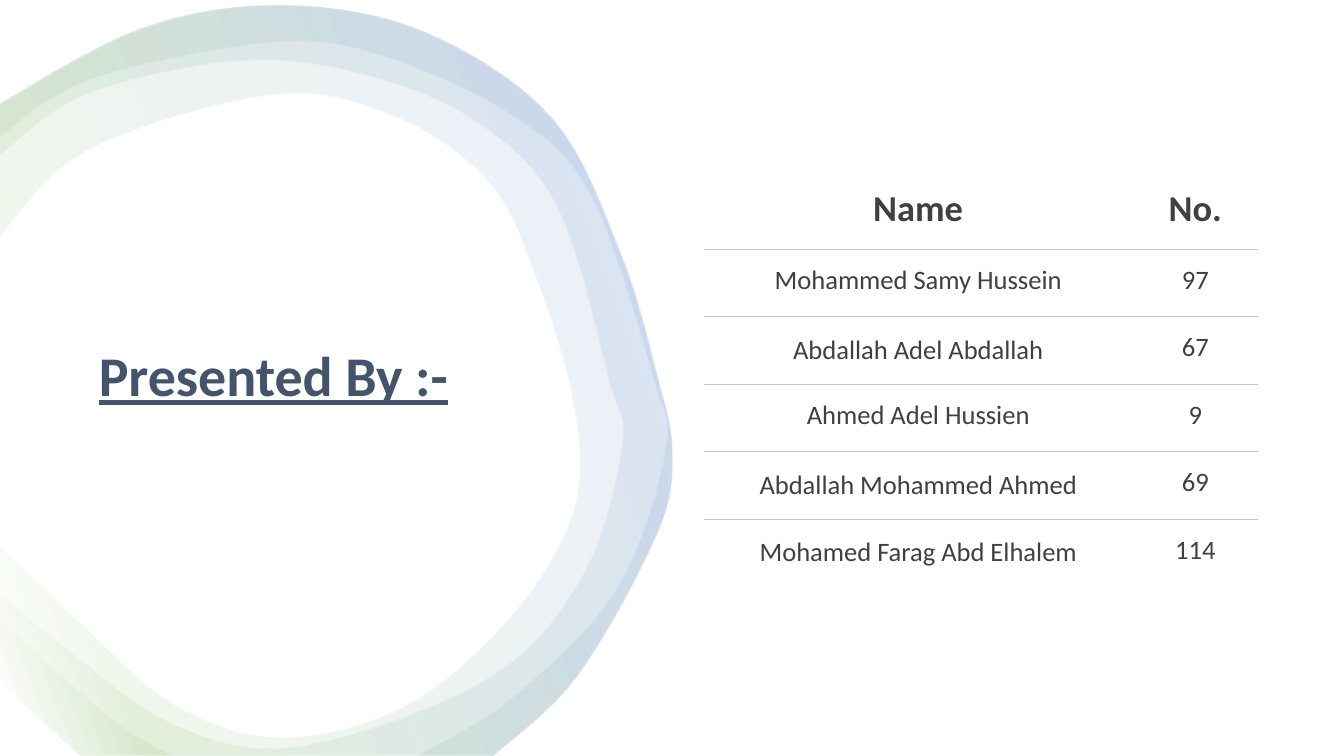
from dataclasses import dataclass

from lxml import etree
from pptx import Presentation, util as u
from pptx.dml.color import RGBColor
from pptx.enum import text
from pptx.oxml import ns

FONT = "Calibri"
GREY, SLATE, RULE, WHITE = "404040", "44546A", "C7C6C1", "FFFFFF"
STEPS = 8  # line pieces between two curve points
UNIT = u.Cm(0.0254)  # size of one step of the ring points
STOPS = [(2, WHITE), (16, "70AD47"), (85, "4472C4"), (100, WHITE)]
ALPHA = 10

Point = tuple[float, float]
Arc = list[Point]


@dataclass
class Band:
    """Closed loops, each made of smooth arcs joined by straight lines."""
    loops: list[list[Arc]]


@dataclass
class Row:
    name: str
    num: str
    lead: float = 1.0


# The bands share their outer edge and lower left tail.
OUTER = [(490, 750), (573, 671), (652, 530), (667, 450), (652, 373), (615, 250),
         (547, 117), (420, 32), (280, 6), (141, 29), (0, 104)]
TAIL = [(0, 676), (80, 750)]
WIDE = [(0, 236), (87, 150), (269, 95), (389, 115), (484, 180), (531, 273),
        (570, 405), (569, 508), (507, 612), (402, 701), (278, 732), (171, 698),
        (73, 611), (0, 542)]
MIDDLE = [(0, 155), (87, 94), (240, 61), (362, 75), (472, 121), (553, 206),
          (605, 380), (617, 443), (579, 570), (485, 673), (297, 741), (173, 719),
          (62, 640), (0, 588)]
THIN = [(0, 137), (89, 80), (269, 43), (379, 56), (511, 117), (587, 196),
        (648, 375), (660, 448), (611, 586), (508, 693), (414, 750)]
FOOT = [(0, 615), (111, 713), (171, 750)]
BANDS = [
    Band([[OUTER, MIDDLE, TAIL]]),
    Band([[OUTER, WIDE, TAIL]]),
    Band([[OUTER, THIN], [FOOT, TAIL[::-1]]]),
]
ROWS = [
    Row("Mohammed Samy Hussein", "97"),
    Row("Abdallah Adel Abdallah", "67", 1.07),
    Row("Ahmed Adel Hussien", "9"),
    Row("Abdallah Mohammed Ahmed", "69", 1.07),
    Row("Mohamed Farag Abd Elhalem", "114", 1.07),
]


def color(code: str) -> RGBColor:
    return RGBColor.from_string(code)


def smooth(arc: Arc) -> Arc:
    """Run a Catmull-Rom curve through the points of an arc."""
    pad = [arc[0], *arc, arc[-1]]
    out = [arc[0]]
    for a, b, c, d in zip(pad, pad[1:], pad[2:], pad[3:]):
        for step in range(1, STEPS + 1):
            t = step / STEPS
            x, y = (
                (2 * q + (r - p) * t + (2 * p - 5 * q + 4 * r - s) * t ** 2
                 + (3 * q - p - 3 * r + s) * t ** 3) / 2
                for p, q, r, s in zip(a, b, c, d))
            out.append((max(x, 0), min(y, 750)))
    return out


def tint(shape) -> None:
    """Give a shape the faint green to blue gradient."""
    shape.fill.gradient()
    shape.fill.gradient_angle = 20
    stops = shape.element.spPr.find(".//" + ns.qn("a:gsLst"))
    for old in list(stops):
        stops.remove(old)
    for pos, code in STOPS:
        stop = etree.SubElement(stops, ns.qn("a:gs"), pos=str(pos * 1000))
        tone = etree.SubElement(stop, ns.qn("a:srgbClr"), val=code)
        etree.SubElement(tone, ns.qn("a:alpha"), val=str(ALPHA * 1000))


def draw_band(slide, band: Band) -> None:
    pen = None
    for loop in band.loops:
        points = [(x * 10, y * 10) for arc in loop for x, y in smooth(arc)]
        if pen is None:
            pen = slide.shapes.build_freeform(*points[0], scale=UNIT / 10)
        else:
            pen.move_to(*points[0])
        pen.add_line_segments(points[1:], close=True)
    shape = pen.convert_to_shape()
    shape.shadow.inherit = False
    shape.line.fill.background()
    tint(shape)


def write(frame, words: str, *, size: float, tone: str = GREY, bold: bool = False,
          under: bool = False, align=text.PP_ALIGN.LEFT, lead: float = 1.0,
          after: float = 0) -> None:
    frame.word_wrap = True
    para = frame.paragraphs[0]
    para.alignment, para.line_spacing, para.space_after = align, lead, u.Pt(after)
    run = para.add_run()
    run.text = words
    font = run.font
    font.name, font.size, font.bold, font.underline = FONT, u.Pt(size), bold, under
    font.color.rgb = color(tone)


def rule(cell, side: str) -> None:
    """Draw a thin border on one side of a cell."""
    line = etree.Element(ns.qn("a:" + side), w=str(u.Pt(0.75)))
    fill = etree.SubElement(line, ns.qn("a:solidFill"))
    etree.SubElement(fill, ns.qn("a:srgbClr"), val=RULE)
    cell._tc.get_or_add_tcPr().insert(0, line)


def draw_table(slide) -> None:
    rows = [Row("Name", "No."), *ROWS]
    grid = slide.shapes.add_table(len(rows), 2, u.Cm(17.73), u.Cm(4.27),
                                  u.Cm(13.97), u.Cm(10.52)).table
    grid.first_row = grid.horz_banding = False
    for col, width in zip(grid.columns, (10.64, 3.33)):
        col.width = u.Cm(width)
    for i, row in enumerate(rows):
        head = i == 0
        grid.rows[i].height = u.Cm(2.01 if head else 1.7)
        for j, (words, lead) in enumerate([(row.name, row.lead), (row.num, 1.0)]):
            cell = grid.cell(i, j)
            cell.fill.background()
            cell.margin_left, cell.margin_right = u.Cm(0.74), u.Cm(0.56)
            cell.margin_top = cell.margin_bottom = u.Cm(0.38)
            cell.vertical_anchor = (text.MSO_ANCHOR.MIDDLE if head
                                    else text.MSO_ANCHOR.TOP)
            write(cell.text_frame, words, size=26 if head else 19, bold=head,
                  align=text.PP_ALIGN.CENTER, lead=lead)
            if i < len(rows) - 1:
                rule(cell, "lnB")
            if not head:
                rule(cell, "lnT")
    style = grid._tbl.tblPr.find(ns.qn("a:tableStyleId"))
    style.text = "{2D5ABB26-0587-4C30-8999-92F81FD0307C}"  # no style, no grid


def main() -> None:
    deck = Presentation()
    deck.slide_width, deck.slide_height = u.Cm(33.87), u.Cm(19.05)
    slide = deck.slides.add_slide(deck.slide_layouts[6])
    back = slide.background.fill
    back.solid()
    back.fore_color.rgb = color(WHITE)
    for band in BANDS:
        draw_band(slide, band)
    title = slide.shapes.add_textbox(u.Cm(2.24), u.Cm(8.66), u.Cm(10.16), u.Cm(4.95))
    write(title.text_frame, "Presented By :-", size=40, tone=SLATE, bold=True,
          under=True, lead=0.9, after=6)
    draw_table(slide)
    deck.save("out.pptx")


if __name__ == "__main__":
    main()
